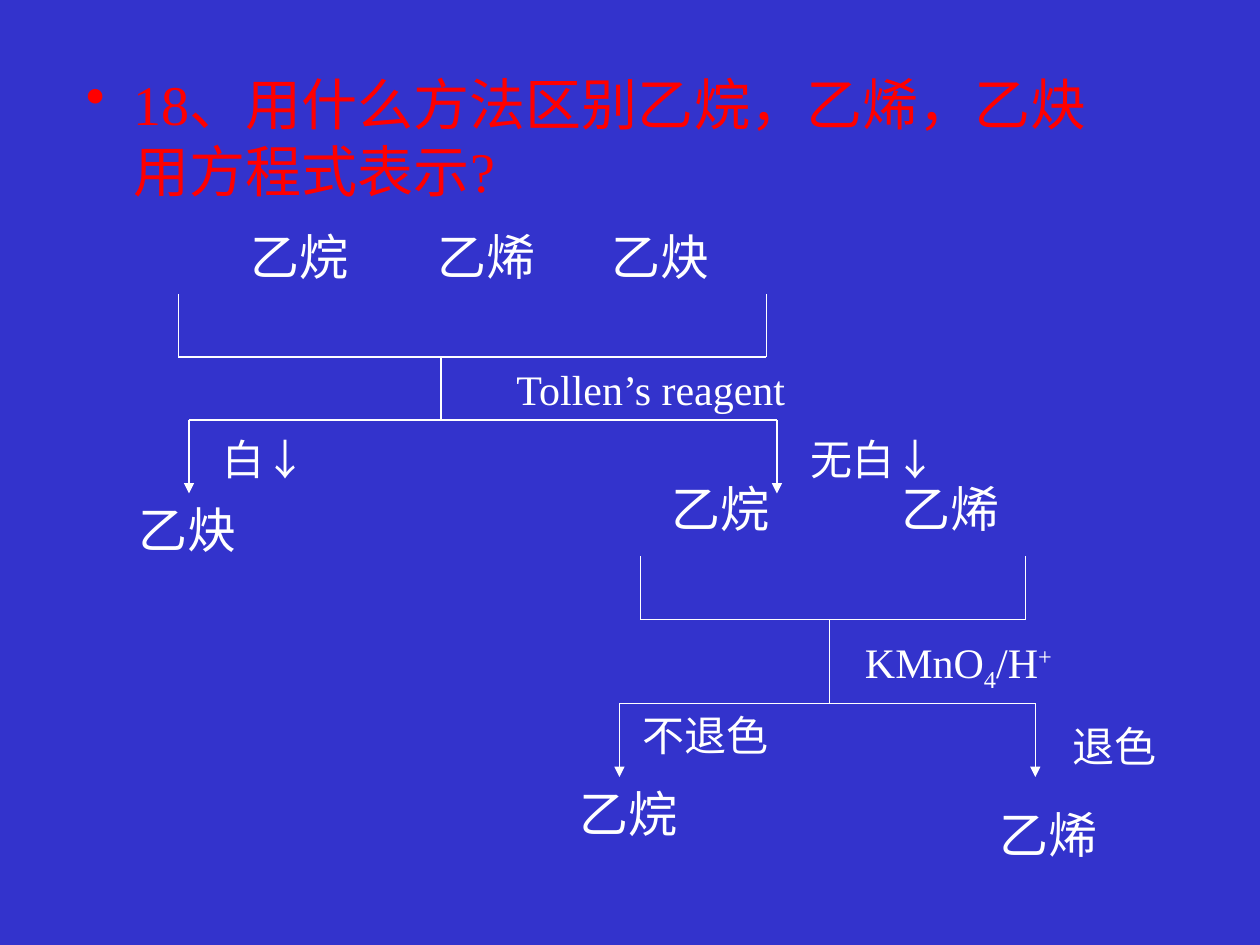
from lxml import etree
from pptx import Presentation
from pptx import util as u
from pptx.dml.color import RGBColor
from pptx.enum import shapes, text
from pptx.oxml.ns import qn

BLUE = RGBColor(0x33, 0x33, 0xCC)
RED = RGBColor(0xFF, 0x00, 0x00)
WHITE = RGBColor(0xFF, 0xFF, 0xFF)
LATIN = "Times New Roman"
CHINESE = "Noto Sans CJK SC"


class FlowSlide:
    """Draws a separation scheme on a slide divided into 120 columns and 90 rows."""

    columns, rows = 120, 90

    def __init__(self, presentation):
        self.width = presentation.slide_width
        self.height = presentation.slide_height
        self.slide = presentation.slides.add_slide(presentation.slide_layouts[6])
        fill = self.slide.background.fill
        fill.solid()
        fill.fore_color.rgb = BLUE

    def x(self, column):
        return round(self.width * column / self.columns)

    def y(self, row):
        return round(self.height * row / self.rows)

    def box(self, column, row, width, height, wrap=False):
        shape = self.slide.shapes.add_textbox(
            self.x(column), self.y(row), self.x(width), self.y(height))
        shape.text_frame.word_wrap = wrap
        shape.text_frame.auto_size = text.MSO_AUTO_SIZE.NONE
        return shape.text_frame.paragraphs[0]

    def run(self, paragraph, wording, size, font, color=WHITE, baseline=0):
        run = paragraph.add_run()
        run.text = wording
        run.font.size = u.Pt(size)
        run.font.color.rgb = color
        run.font.name = font
        if font == CHINESE:
            properties = run.font._element
            etree.SubElement(properties, qn("a:ea"), typeface=font)
        if baseline:
            run.font._element.set("baseline", str(baseline * 1000))

    def question(self, column, row, width, height, parts):
        paragraph = self.box(column, row, width, height, wrap=True)
        properties = paragraph._p.get_or_add_pPr()
        indent = u.Inches(0.38)
        properties.set("marL", str(indent))
        properties.set("indent", str(-indent))
        color = etree.SubElement(properties, qn("a:buClr"))
        etree.SubElement(color, qn("a:srgbClr"), val=str(RED))
        etree.SubElement(properties, qn("a:buChar"), char="•")
        for wording, font in parts:
            self.run(paragraph, wording, 32, font, RED)

    def compounds(self, column, row, width, names, stops=()):
        paragraph = self.box(column, row, width, 6.8)
        if stops:
            tabs = etree.SubElement(paragraph._p.get_or_add_pPr(), qn("a:tabLst"))
            for stop in stops:
                etree.SubElement(tabs, qn("a:tab"), pos=str(self.x(stop)), algn="l")
        self.run(paragraph, "\t".join(names), 28, CHINESE)

    def label(self, column, row, width, *parts):
        paragraph = self.box(column, row, width, 6)
        for wording, baseline in parts:
            self.run(paragraph, wording, 24, LATIN, baseline=baseline)

    def line(self, start, end, arrow=False):
        connector = self.slide.shapes.add_connector(
            shapes.MSO_CONNECTOR.STRAIGHT,
            self.x(start[0]), self.y(start[1]), self.x(end[0]), self.y(end[1]))
        connector.line.color.rgb = WHITE
        connector.line.width = u.Pt(0.75)
        if arrow:
            outline = connector.line._get_or_add_ln()
            etree.SubElement(outline, qn("a:tailEnd"), type="triangle")
        etree.SubElement(connector._element.spPr, qn("a:effectLst"))

    def split(self, bracket, stem, branches, levels):
        top, joint, fork, bottom = levels
        for column in bracket:
            self.line((column, top), (column, joint))
        self.line((bracket[0], joint), (bracket[1], joint))
        self.line((stem, joint), (stem, fork))
        for column in branches:
            self.line((column, fork), (column, bottom), arrow=True)
        self.line((branches[0], fork), (branches[1], fork))


def main():
    presentation = Presentation()
    presentation.slide_width = u.Inches(10)
    presentation.slide_height = u.Inches(7.5)
    flow = FlowSlide(presentation)

    flow.question(7, 6, 102, 18, [
        ("18、", LATIN),
        ("用什么方法区别乙烷，乙烯，乙炔用方程式表示", CHINESE),
        ("?", LATIN),
    ])

    flow.compounds(22.7, 21, 46, ["乙烷", "乙烯", "乙炔"], stops=(17.75, 34.4))
    flow.split((17, 73), 42, (18, 74), (28, 34, 40, 47))
    flow.label(48, 34, 28.4, ("Tollen’s reagent", 0))
    flow.label(20, 40.7, 10.3, ("白↓", 0))
    flow.label(76, 40.7, 14.4, ("无白↓", 0))
    flow.compounds(12, 47, 11.6, ["乙炔"])

    flow.compounds(62.8, 45, 33.5, ["乙烷", "乙烯"], stops=(21.9,))
    flow.split((61, 97.7), 79, (59, 98.6), (53, 59, 67, 74))
    flow.label(81.2, 60, 20.2, ("KMnO", 0), ("4", -25), ("/H", 0), ("+", 30))
    flow.label(60, 67, 14.4, ("不退色", 0))
    flow.label(101, 68, 10.3, ("退色", 0))
    flow.compounds(54, 74, 11.6, ["乙烷"])
    flow.compounds(94, 76, 11.6, ["乙烯"])

    presentation.save("out.pptx")


if __name__ == "__main__":
    main()
